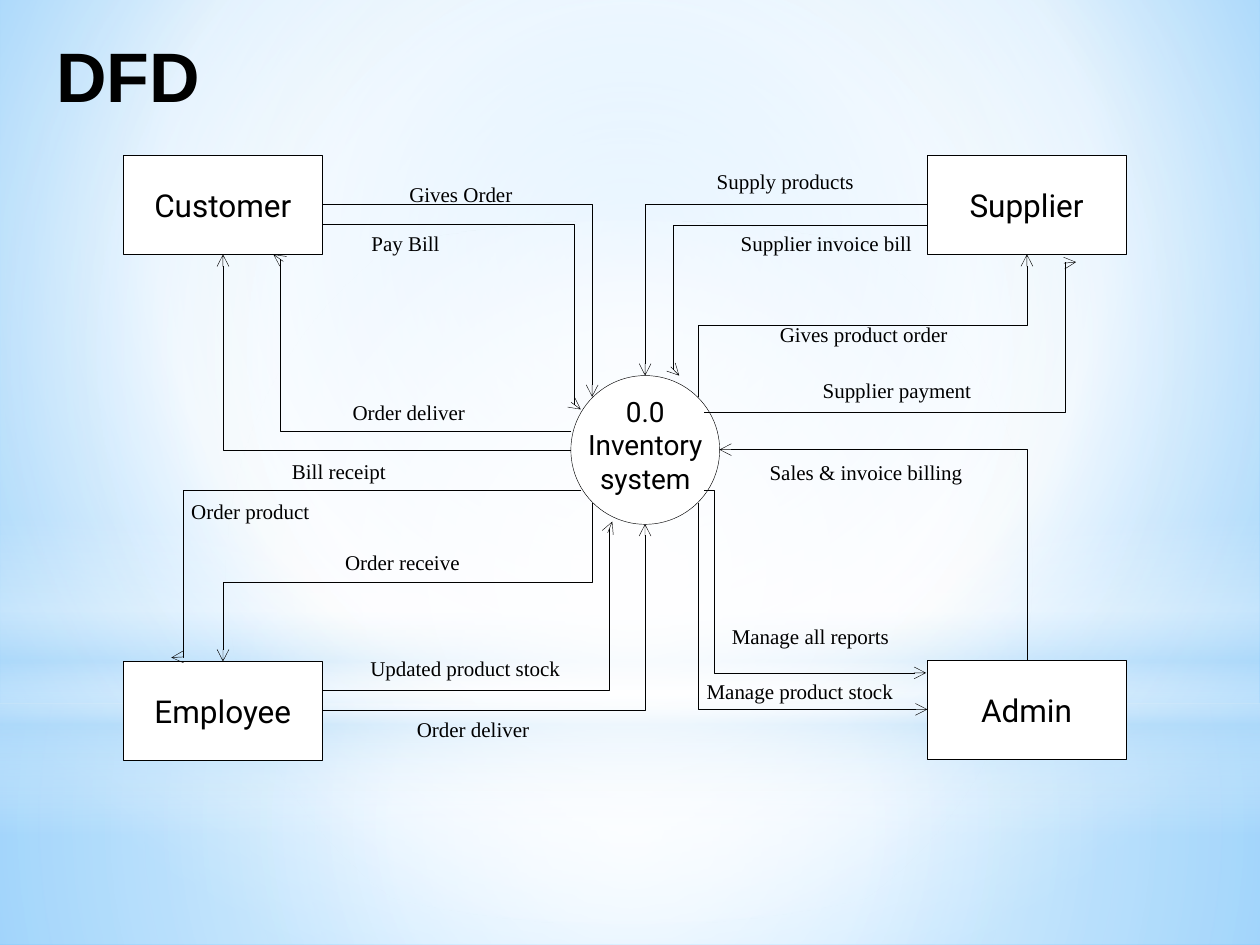
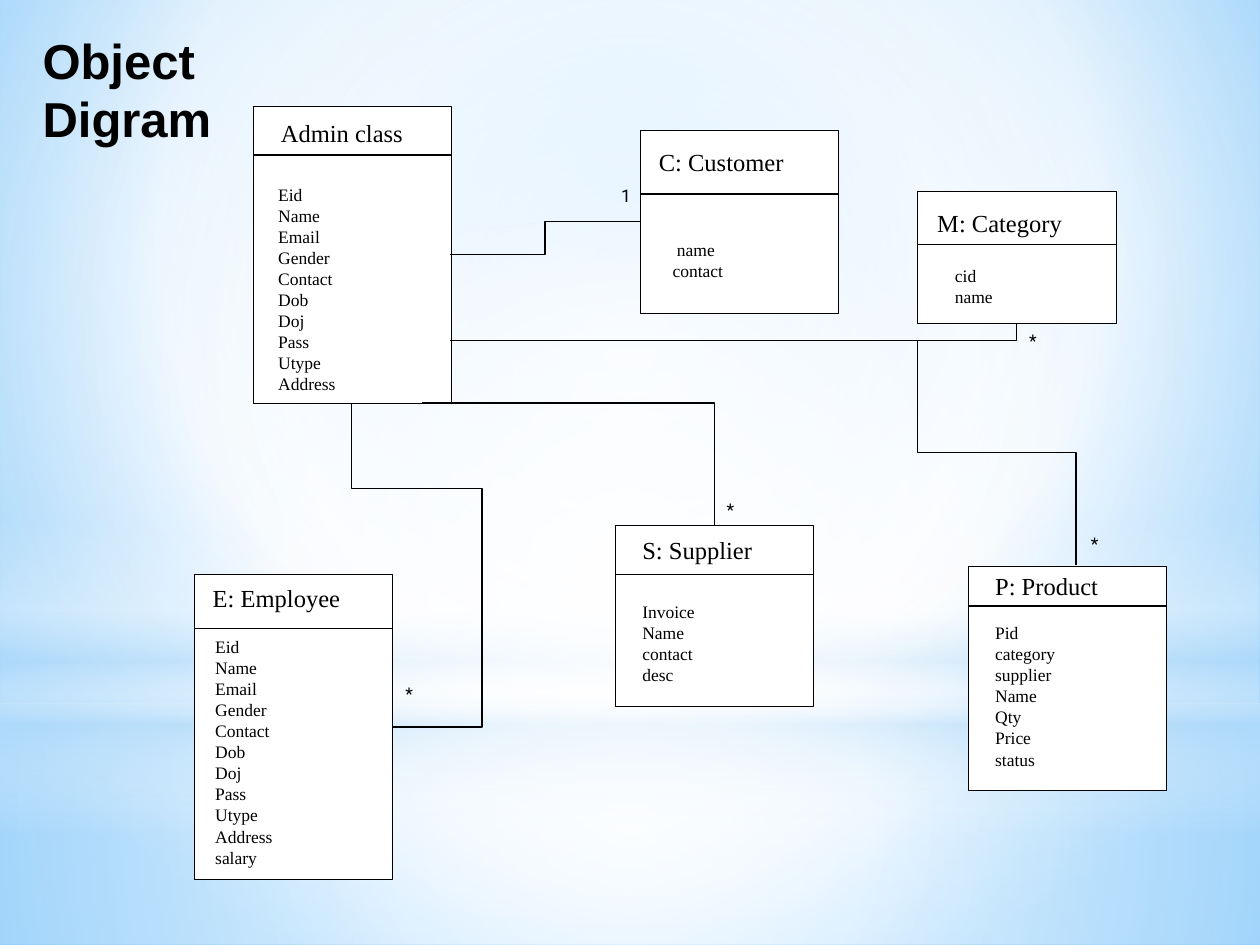
"""Build two slides: a data flow diagram and an object diagram."""
import lxml.etree
import pptx
import pptx.dml.color
import pptx.enum.shapes
import pptx.enum.text
import pptx.oxml.ns
import pptx.util

COLOURS = {"ink": "000000", "paper": "FFFFFF", "mist": "B4DCFA", "sky": "9ED5FF", "deep": "5BB9FF"}
TITLE = {"name": "Arial", "bold": True}
ENTITY = {"name": "Roboto", "size": 18}
SYSTEM = {"name": "Roboto", "size": 16}
MARK = {"name": "Roboto", "size": 10}
LABEL = {"name": "Times New Roman", "size": 12}
CLASS_NAME = {"name": "Times New Roman", "size": 14}
FIELD = {"name": "Times New Roman", "size": 10}
SHAPES = pptx.enum.shapes.MSO_SHAPE
LINES = pptx.enum.shapes.MSO_CONNECTOR
CENTRE = pptx.enum.text.PP_ALIGN.CENTER
MIDDLE = pptx.enum.text.MSO_ANCHOR.MIDDLE
CENTRE_FOCUS = (50, 50, 50, 50)
ENTITY_SIZE = (113.4, 56.7)
CLASS_WIDTH = 113.4

BANDS = [
    (SHAPES.RECTANGLE, (0, 401.8, 720, 138.2),
     [(0, "paper", 91), (37, "paper", 76), (100, "mist", 79)], CENTRE_FOCUS),
    (SHAPES.RECTANGLE, (0, 0, 720, 401.8),
     [(0, "paper", 89), (48, "paper", 62), (100, "mist", 79)], CENTRE_FOCUS),
    (SHAPES.RECTANGLE, (0, 296.6, 720, 180),
     [(0, "paper", 0), (29, "paper", 30), (45, "mist", 40), (55, "paper", 26),
      (65, "mist", 60), (100, "paper", 0)], None),
    (SHAPES.OVAL, (0, 126, 720, 401.8), [(0, "paper", 100), (56, "paper", 0)], CENTRE_FOCUS),
]

ENTITIES = [
    ("Customer", 70.6, 88.6), ("Supplier", 529.9, 88.6),
    ("Employee", 70.6, 378), ("Admin", 529.9, 377.3),
]

FLOWS = [
    ("hv", (184.3, 116.6), (338.4, 226.8), ()),
    ("hv", (326.2, 257), (127.4, 145.4), ()),
    ("hvh", (402.5, 235.4), (614.9, 149.8), (97,)),
    ("hv", (529.9, 116.6), (368.6, 214.6), ()),
    ("vh", (586.8, 377.3), (411.1, 257), ()),
    ("vh", (398.9, 287.3), (529.9, 405.4), ()),
    ("hv", (184.3, 406.1), (368.6, 299.5), ()),
    ("vhv", (338.4, 287.3), (127.4, 378), (50,)),
    ("hvh", (184.3, 128.2), (331.9, 234), (97.3,)),
    ("hvh", (326.2, 246.2), (156.2, 145.4), (97.6,)),
    ("hvh", (529.9, 128.9), (388.1, 214.6), (102.4,)),
    ("vhv", (398.9, 226.8), (586.8, 145.4), (50,)),
    ("hvh", (331.9, 280.1), (97.9, 375.8), (97.2,)),
    ("hvh", (184.3, 394.6), (349.9, 298.1), (98.8,)),
    ("hvh", (402.5, 280.1), (529.2, 384.5), (4.4,)),
]

FLOW_LABELS = [
    ("Gives Order", 226.8, 100.1, 105), ("Pay Bill", 205.2, 128.2, 105),
    ("Order deliver", 194.4, 224.6, 82), ("Bill receipt", 159.8, 258.5, 105),
    ("Order product", 102.2, 281.5, 105), ("Order receive", 190.1, 310.3, 105),
    ("Updated product stock", 204.5, 370.8, 126), ("Order deliver", 231.1, 406.1, 82),
    ("Supply products", 402.5, 92.9, 105), ("Supplier invoice bill", 416.2, 128.2, 113),
    ("Gives product order", 438.5, 180, 121), ("Supplier payment", 463, 212.4, 113),
    ("Sales & invoice billing", 432.7, 259.2, 132.5), ("Manage all reports", 411.1, 352.8, 132.5),
    ("Manage product stock", 396.7, 384.5, 132.5),
]

PERSON = ["Eid", "Name", "Email", "Gender", "Contact", "Dob", "Doj", "Pass", "Utype", "Address"]

CLASSES = [
    ("Admin class", (144.7, 60.5, 170), 88.6, (153.4, 64.1), (151.9, 101.5), PERSON),
    ("P: Product", (553, 323.3, 128.2), 346.3, (561.6, 322.6), (561.6, 352.1),
     ["Pid", "category", "supplier", "Name", "Qty", "Price", "status"]),
    ("S: Supplier", (351.4, 300.2, 103.7), 328.3, (360, 302.4), (360, 339.8),
     ["Invoice", "Name contact desc"]),
    ("C: Customer", (365.8, 74.2, 105.1), 110.9, (369.4, 80.6), (377.3, 133.2),
     [" name", "contact"]),
    ("E: Employee", (110.9, 328.3, 174.2), 359.3, (114.5, 329.8), (115.9, 360), PERSON + ["salary"]),
    ("M: Category", (524.2, 109.4, 75.6), 139.7, (528.5, 115.2), (538.6, 147.6), ["cid", "name"]),
]

LINKS = [
    ("hvh", (257.3, 145.4), (365.8, 126.7), (50,)),
    ("vh", (581, 185), (257.3, 194.4), ()),
    ("vhv", (524.2, 194.4), (614.9, 322.9), (50,)),
    ("vhvh", (200.9, 230.4), (223.9, 415.4), (26.4, 323.8)),
    ("vh", (408.2, 300.2), (241.2, 230.4), ()),
]

MARKS = [
    ("1", 350.6, 102.2, 11.5), ("*", 581, 185, 21.6), ("*", 616.3, 301, 21.6),
    ("*", 408.2, 281.5, 21.6), ("*", 224.6, 386.6, 21.6),
]


def points(values):
    """Turn numbers into lengths in points."""
    return [pptx.util.Pt(value) for value in values]


def colour(name):
    """Look up a named colour."""
    return pptx.dml.color.RGBColor.from_string(COLOURS[name])


def child(parent, tag, **attributes):
    """Append a drawing element with the given attributes."""
    texts = {key: str(value) for key, value in attributes.items()}
    return lxml.etree.SubElement(parent, pptx.oxml.ns.qn("a:" + tag), texts)


def paint_gradient(fill, element, stops, focus):
    """Give a fill gradient stops, circular around a focus or else vertical."""
    fill.gradient()
    gradient = next(element.iter(pptx.oxml.ns.qn("a:gradFill")))
    gradient.clear()
    stop_list = child(gradient, "gsLst")
    for position, name, opacity in stops:
        stop = child(stop_list, "gs", pos=position * 1000)
        child(child(stop, "srgbClr", val=COLOURS[name]), "alpha", val=opacity * 1000)
    if focus:
        sides = {side: value * 1000 for side, value in zip("ltrb", focus)}
        child(child(gradient, "path", path="circle"), "fillToRect", **sides)
    else:
        child(gradient, "lin", ang=5400000, scaled=0)


def write(frame, lines, style, align=None):
    """Fill a text frame with one paragraph per line."""
    for index, line in enumerate(lines):
        para = frame.add_paragraph() if index else frame.paragraphs[0]
        para.alignment = align
        span = para.add_run()
        span.text = line
        span.font.color.rgb = colour("ink")
        for key, value in style.items():
            setattr(span.font, key, pptx.util.Pt(value) if key == "size" else value)


def add_text(page, lines, area, style, align=None, wrap=True):
    """Add a text box that grows with its text."""
    frame = page.shapes.add_textbox(*points(area)).text_frame
    frame.word_wrap = wrap
    frame.auto_size = pptx.enum.text.MSO_AUTO_SIZE.SHAPE_TO_FIT_TEXT
    write(frame, lines, style, align)


def add_box(page, kind, area):
    """Add a white outlined shape."""
    box = page.shapes.add_shape(kind, *points(area))
    box.shadow.inherit = False
    box.fill.solid()
    box.fill.fore_color.rgb = colour("paper")
    box.line.color.rgb = colour("ink")
    box.line.width = pptx.util.Pt(0.25)
    return box


def add_line(page, kind, start, end, width):
    """Add a plain connector without shadow."""
    line = page.shapes.add_connector(kind, *points(start + end))
    line.line.color.rgb = colour("ink")
    line.line.width = pptx.util.Pt(width)
    child(line._element.spPr, "effectLst")
    return line


def add_route(page, turns, start, end, bends, width, arrow=False):
    """Add an elbow connector whose legs run as the letters h and v in turns."""
    route = add_line(page, LINES.ELBOW, start, end, width)
    across, down = end[0] - start[0], end[1] - start[1]
    if turns[0] == "v":
        angle = 270 if across * down > 0 else 90
        flips = {"flipH": across > 0, "flipV": down < 0}
        middle = [(a + b) / 2 for a, b in zip(start, end)]
        area = (middle[0] - abs(down) / 2, middle[1] - abs(across) / 2, abs(down), abs(across))
        for key, value in zip(("left", "top", "width", "height"), points(area)):
            setattr(route, key, value)
    else:
        angle = 180 if across < 0 else 0
        flips = {"flipH": False, "flipV": across * down < 0}
    properties = route._element.spPr
    frame = properties.find(pptx.oxml.ns.qn("a:xfrm"))
    frame.set("rot", str(angle * 60000))
    for key, value in flips.items():
        frame.set(key, str(int(value)))
    geometry = properties.find(pptx.oxml.ns.qn("a:prstGeom"))
    geometry.clear()
    geometry.set("prst", f"bentConnector{len(turns)}")
    guides = child(geometry, "avLst")
    for number, bend in enumerate(bends, 1):
        child(guides, "gd", name=f"adj{number}", fmla=f"val {round(bend * 1000)}")
    if arrow:
        child(properties.find(pptx.oxml.ns.qn("a:ln")), "tailEnd", type="arrow")


def add_page(deck):
    """Add a blank slide with the shared light bands."""
    page = deck.slides.add_slide(deck.slide_layouts[6])
    for kind, area, stops, focus in BANDS:
        band = page.shapes.add_shape(kind, *points(area))
        band.shadow.inherit = False
        band.line.fill.background()
        paint_gradient(band.fill, band._element, stops, focus)
    return page


def add_class(page, name, area, divider, name_at, fields_at, fields):
    """Add a class box with its name, divider and fields."""
    left, top, height = area
    add_box(page, SHAPES.RECTANGLE, (left, top, CLASS_WIDTH, height))
    add_line(page, LINES.STRAIGHT, (left, divider), (left + CLASS_WIDTH, divider), 0.75)
    add_text(page, [name], name_at + (105, 24.5), CLASS_NAME)
    add_text(page, fields, fields_at + (54, 7.2 + 12 * len(fields)), FIELD)


def build_flow_page(deck):
    """Build the data flow diagram."""
    page = add_page(deck)
    add_text(page, ["DFD"], (25.2, 15.1, 102.2, 55.4), {**TITLE, "size": 40}, wrap=False)
    for name, left, top in ENTITIES:
        frame = add_box(page, SHAPES.RECTANGLE, (left, top) + ENTITY_SIZE).text_frame
        frame.vertical_anchor = MIDDLE
        write(frame, [name], ENTITY, CENTRE)
    add_box(page, SHAPES.FLOWCHART_CONNECTOR, (326.2, 214.6, 85, 85))
    add_text(page, ["0.0", "Inventory system"], (326.2, 221.8, 85, 65.5), SYSTEM, CENTRE)
    for flow in FLOWS:
        add_route(page, *flow, 0.25, arrow=True)
    for name, left, top, width in FLOW_LABELS:
        add_text(page, [name], (left, top, width, 21.6), LABEL)


def build_object_page(deck):
    """Build the object diagram."""
    page = add_page(deck)
    for details in CLASSES:
        add_class(page, *details)
    for link in LINKS:
        add_route(page, *link, 0.75)
    for mark, left, top, width in MARKS:
        add_text(page, [mark], (left, top, width, 19.4), MARK)
    add_text(page, ["Object", "Digram"], (17.3, 13.7, 134.6, 74.9), {**TITLE, "size": 28})


def main():
    """Build and save the deck."""
    deck = pptx.Presentation()
    deck.slide_width, deck.slide_height = points((720, 540))
    master = deck.slide_master
    paint_gradient(master.background.fill, master._element,
                   [(0, "sky", 100), (60, "paper", 100), (100, "deep", 100)], (20, 10, 20, 60))
    build_flow_page(deck)
    build_object_page(deck)
    deck.save("out.pptx")


if __name__ == "__main__":
    main()
